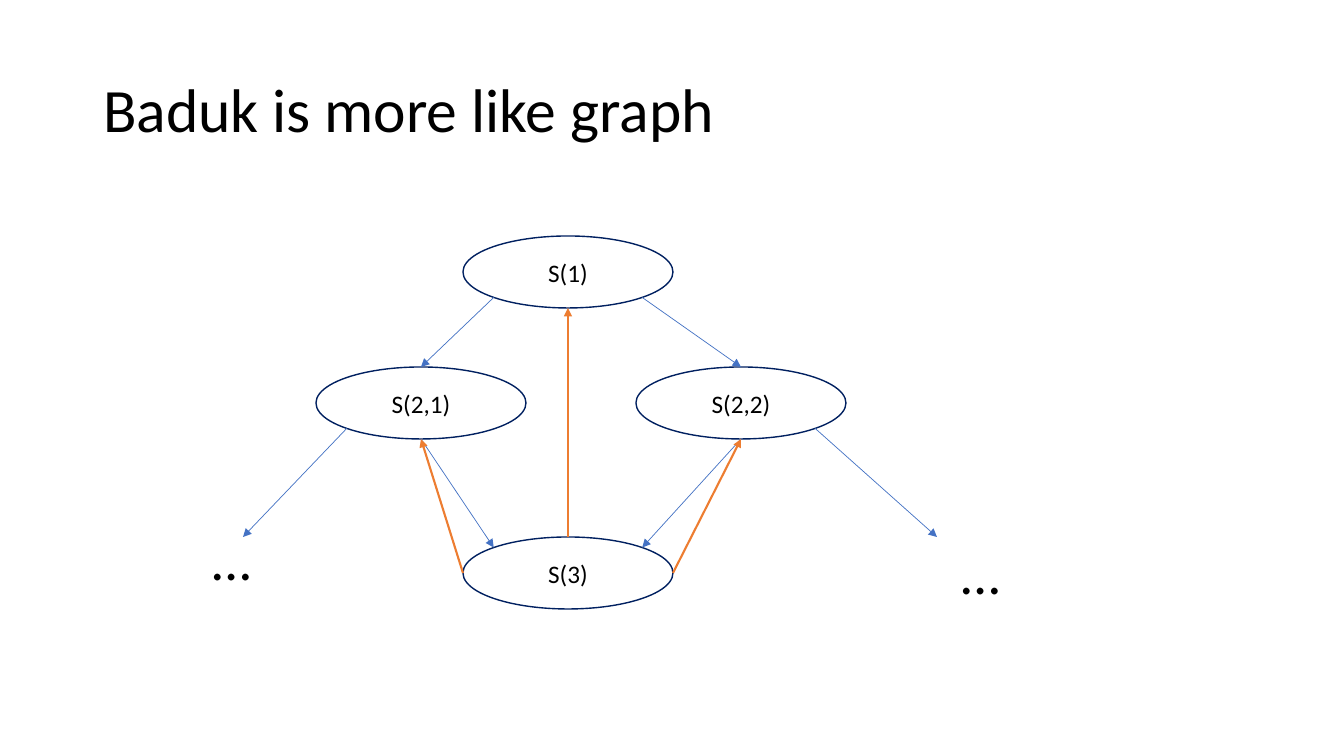
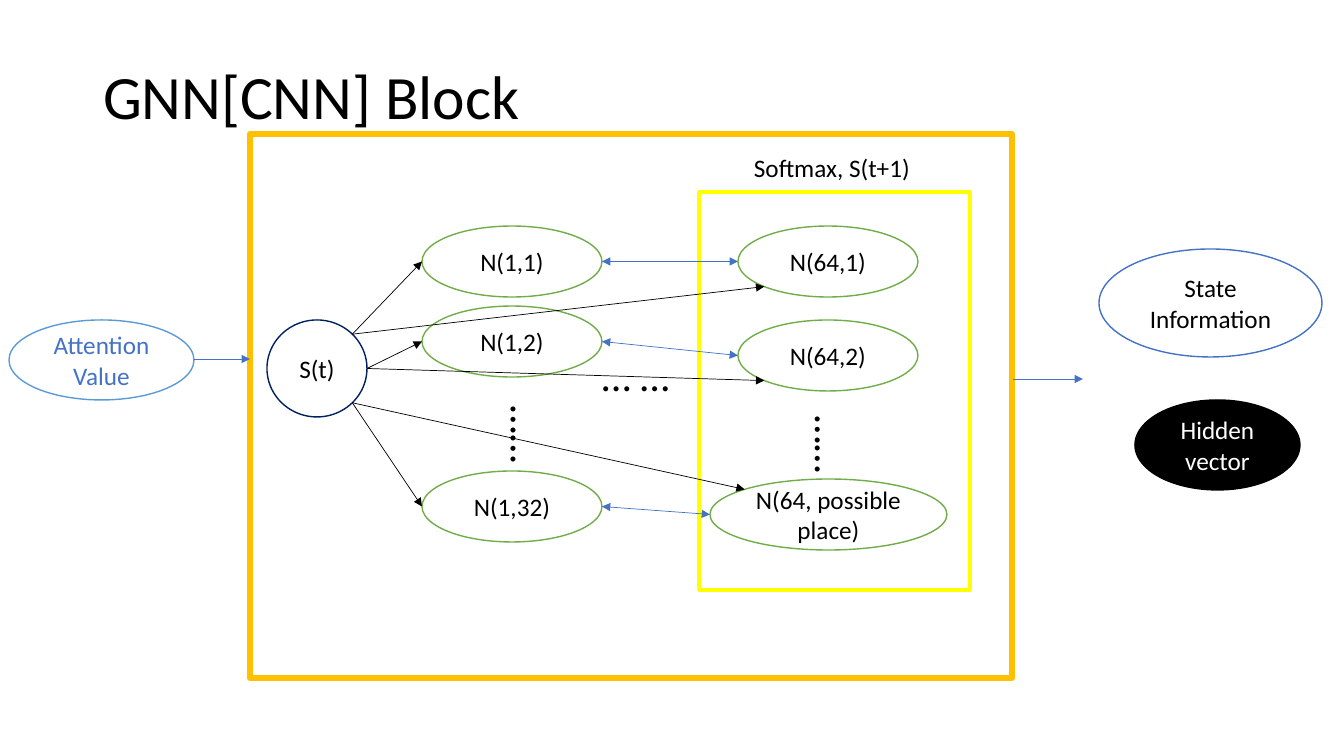
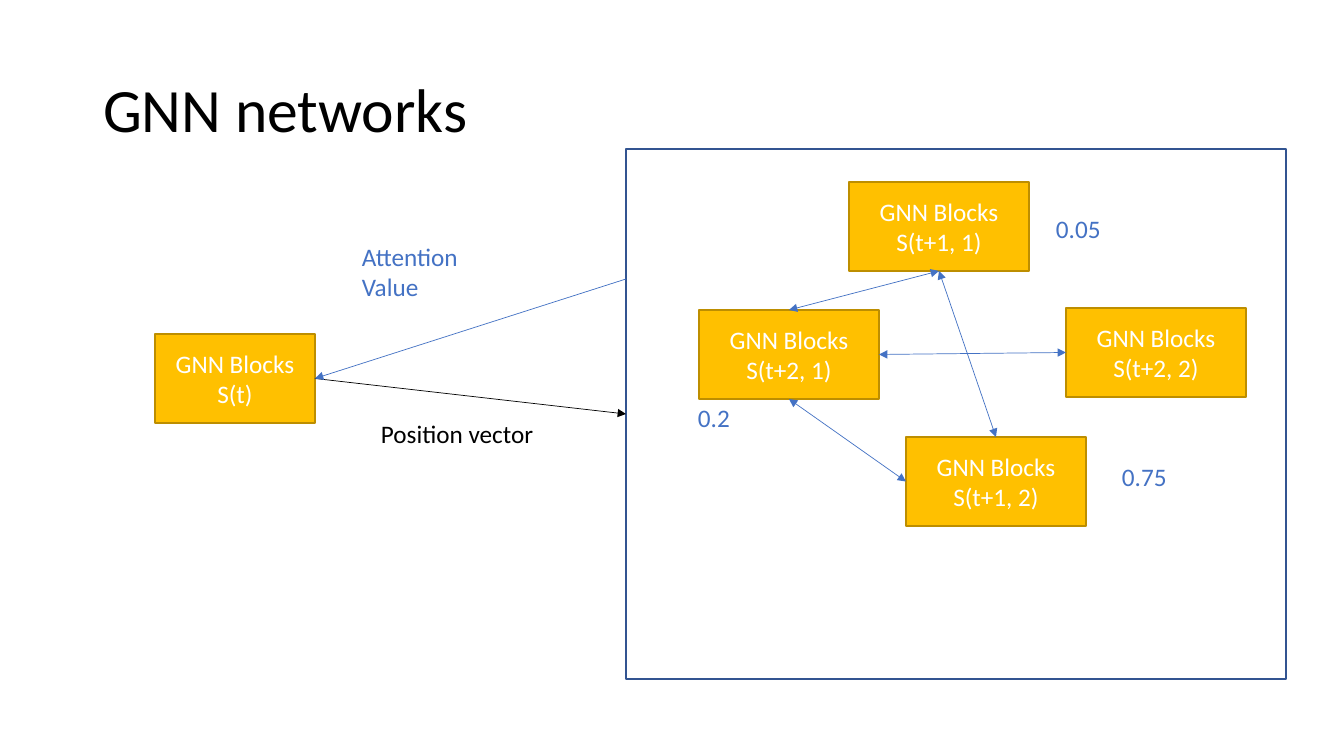
from dataclasses import dataclass
from math import sqrt
from typing import NamedTuple, Optional

from lxml.etree import SubElement
from pptx import Presentation
from pptx.dml.color import RGBColor
from pptx.enum.shapes import MSO_CONNECTOR, MSO_SHAPE
from pptx.enum.text import MSO_ANCHOR, MSO_AUTO_SIZE, PP_ALIGN
from pptx.oxml.ns import qn
from pptx.util import Emu, Pt

# Shared style: one pixel is 1/100.8 inch
EMU_PER_PIXEL = 914400 / 100.8
FONT = "Calibri"
BLACK, WHITE = "000000", "FFFFFF"
NAVY, BLUE, LIGHT_BLUE, DARK_BLUE = "002060", "4472C4", "5B9BD5", "325491"
GREEN, ORANGE, YELLOW = "70AD47", "ED7D31", "FFFF00"
GOLD, DARK_GOLD = "FFC000", "BD8E00"
DIAGONAL = 1 / sqrt(2)


class Point(NamedTuple):
    x: float
    y: float


@dataclass(frozen=True)
class Node:
    text: str
    left: int
    top: int
    width: int
    height: int
    line: str
    fill: Optional[str] = None
    color: str = BLACK
    weight: float = 1
    preset: MSO_SHAPE = MSO_SHAPE.OVAL

    def at(self, across: float, down: float) -> Point:
        """Point at an offset from the centre, in half widths and half heights."""
        return Point(self.left + self.width * (1 + across) / 2,
                     self.top + self.height * (1 + down) / 2)

    @property
    def north(self) -> Point:
        return self.at(0, -1)

    @property
    def south(self) -> Point:
        return self.at(0, 1)

    @property
    def west(self) -> Point:
        return self.at(-1, 0)

    @property
    def east(self) -> Point:
        return self.at(1, 0)

    @property
    def northwest(self) -> Point:
        return self.at(-DIAGONAL, -DIAGONAL)

    @property
    def northeast(self) -> Point:
        return self.at(DIAGONAL, -DIAGONAL)

    @property
    def southwest(self) -> Point:
        return self.at(-DIAGONAL, DIAGONAL)

    @property
    def southeast(self) -> Point:
        return self.at(DIAGONAL, DIAGONAL)


@dataclass(frozen=True)
class Arrow:
    start: Point
    end: Point
    color: str = BLUE
    weight: float = 0.5
    both_ends: bool = False


@dataclass(frozen=True)
class Label:
    text: str
    left: int
    top: int
    width: int
    height: int
    size: int = 18
    color: str = BLACK
    level: int = 0
    vertical: bool = False


def px(pixels: float) -> Emu:
    return Emu(round(pixels * EMU_PER_PIXEL))


def rgb(color: str) -> RGBColor:
    return RGBColor.from_string(color)


def write(frame, text: str, *, size: int = 18, color: str = BLACK,
          align=PP_ALIGN.LEFT, anchor=MSO_ANCHOR.TOP, level: int = 0,
          spacing: Optional[float] = None) -> None:
    frame.word_wrap = True
    frame.auto_size = MSO_AUTO_SIZE.NONE
    frame.vertical_anchor = anchor
    para = frame.paragraphs[0]
    para.alignment, para.level, para.line_spacing = align, level, spacing
    span = para.add_run()
    span.text = text
    span.font.name, span.font.size = FONT, Pt(size)
    span.font.color.rgb = rgb(color)


def add_page(deck, title: str, top: int = 40):
    page = deck.slides.add_slide(deck.slide_layouts[5])
    box = page.shapes.title
    box.left, box.top, box.width, box.height = px(93), px(top), px(1159), px(146)
    write(box.text_frame, title, size=44, anchor=MSO_ANCHOR.MIDDLE, spacing=0.9)
    return page


def draw_node(page, node: Node) -> None:
    shape = page.shapes.add_shape(node.preset, px(node.left), px(node.top),
                                  px(node.width), px(node.height))
    shape.shadow.inherit = False
    if node.fill:
        shape.fill.solid()
        shape.fill.fore_color.rgb = rgb(node.fill)
    else:
        shape.fill.background()
    shape.line.color.rgb = rgb(node.line)
    shape.line.width = Pt(node.weight)
    if node.text:
        write(shape.text_frame, node.text, color=node.color,
              align=PP_ALIGN.CENTER, anchor=MSO_ANCHOR.MIDDLE)


def draw_arrow(page, arrow: Arrow) -> None:
    connector = page.shapes.add_connector(
        MSO_CONNECTOR.STRAIGHT, *(px(value) for value in arrow.start + arrow.end))
    connector.line.color.rgb = rgb(arrow.color)
    connector.line.width = Pt(arrow.weight)
    properties = connector.element.spPr
    outline = properties.find(qn("a:ln"))
    for tag in ("a:headEnd", "a:tailEnd") if arrow.both_ends else ("a:tailEnd",):
        SubElement(outline, qn(tag), type="triangle")
    SubElement(properties, qn("a:effectLst"))


def draw_label(page, label: Label) -> None:
    box = page.shapes.add_textbox(px(label.left), px(label.top),
                                  px(label.width), px(label.height))
    write(box.text_frame, label.text, size=label.size, color=label.color,
          level=label.level)
    if label.vertical:
        box.element.txBody.find(qn("a:bodyPr")).set("vert", "eaVert")


def draw(page, nodes: list[Node], arrows: list[Arrow], labels: list[Label]) -> None:
    for node in nodes:
        draw_node(page, node)
    for arrow in arrows:
        draw_arrow(page, arrow)
    for label in labels:
        draw_label(page, label)


def state(text: str, left: int, top: int, width: int = 210, height: int = 72) -> Node:
    return Node(text, left, top, width, height, NAVY)


def neighbor(text: str, left: int, top: int, width: int = 180) -> Node:
    return Node(text, left, top, width, 71, GREEN, WHITE)


def block(name: str, left: int, top: int, width: int = 180) -> Node:
    return Node(f"GNN Blocks {name}", left, top, width, 89, DARK_GOLD, GOLD, WHITE,
                preset=MSO_SHAPE.RECTANGLE)


def border(left: int, top: int, width: int, height: int, line: str,
           weight: float) -> Node:
    return Node("", left, top, width, height, line, weight=weight,
                preset=MSO_SHAPE.RECTANGLE)


def build_graph(deck) -> None:
    page = add_page(deck, "Baduk is more like graph")
    root, merged = state("S(1)", 463, 236), state("S(3)", 463, 537)
    left, right = state("S(2,1)", 316, 367), state("S(2,2)", 636, 367)
    forward = [
        (root.southwest, left.north), (root.southeast, right.north),
        (left.south, merged.northwest), (right.south, merged.northeast),
        (left.southwest, Point(243, 537)), (right.southeast, Point(937, 537)),
    ]
    backward = [(merged.west, left.south), (merged.north, root.south),
                (merged.east, right.south)]
    draw(page, [root, left, right, merged],
         [Arrow(*ends) for ends in forward]
         + [Arrow(*ends, ORANGE, 1.5) for ends in backward],
         [Label("…", x, y, 271, 78, size=40, level=2)
          for x, y in ((102, 520), (851, 534))])


def build_block(deck) -> None:
    page = add_page(deck, "GNN[CNN] Block", top=27)
    current = state("S(t)", 267, 320, 100, 97)
    first = [neighbor("N(1,1)", 422, 226), neighbor("N(1,2)", 422, 306),
             neighbor("N(1,32)", 422, 471)]
    last = [neighbor("N(64,1)", 738, 226), neighbor("N(64,2)", 738, 320),
            neighbor("N(64, possible place)", 710, 479, 237)]
    attention = Node("Attention Value", 9, 320, 185, 80, LIGHT_BLUE, WHITE, BLUE)
    information = Node("State Information", 1099, 249, 223, 108, BLUE, WHITE)
    hidden = Node("Hidden vector", 1135, 400, 165, 90, BLACK, BLACK, WHITE)
    softmax = border(699, 192, 271, 398, YELLOW, 2.25)
    outer = border(250, 134, 762, 544, GOLD, 4.5)

    # Each exit of the current state feeds one node of either layer
    exits = [current.northeast, current.east, current.southeast]
    entries = [last[0].southwest, last[1].southwest, last[2].northwest]
    arrows = [Arrow(Point(194, 359), Point(250, 359)),
              Arrow(Point(1013, 379), Point(1083, 379))]
    for exit_point, near, far, entry in zip(exits, first, last, entries):
        arrows += [Arrow(near.east, far.west, both_ends=True),
                   Arrow(exit_point, near.west, BLACK),
                   Arrow(exit_point, entry, BLACK)]
    draw(page,
         [current, *first, *last, attention, information, hidden, softmax, outer],
         arrows,
         [Label("Softmax, S(t+1)", 744, 147, 186, 40),
          Label("… …", 592, 345, 140, 61, size=30),
          Label("……", 486, 396, 72, 117, size=30, vertical=True),
          Label("……", 790, 406, 72, 117, size=30, vertical=True)])


def build_network(deck) -> None:
    page = add_page(deck, "GNN networks")
    current = block("S(t)", 155, 334, 160)
    top, bottom = block("S(t+1, 1)", 849, 182), block("S(t+1, 2)", 906, 437)
    left, right = block("S(t+2, 1)", 699, 310), block("S(t+2, 2)", 1066, 308)
    network = border(626, 149, 660, 530, DARK_BLUE, 1)
    mutual = [(left.north, top.south), (left.south, bottom.west),
              (bottom.north, top.south), (right.west, left.east)]
    draw(page, [current, top, left, bottom, right, network],
         [Arrow(*ends, both_ends=True) for ends in mutual]
         + [Arrow(current.east, Point(626, 414), BLACK),
            Arrow(Point(626, 279), current.east)],
         [Label("Position vector", 371, 413, 184, 40),
          Label("Attention Value", 352, 236, 147, 72, color=BLUE),
          Label("0.05", 1046, 208, 147, 72, color=BLUE),
          Label("0.2", 688, 397, 147, 40, color=BLUE),
          Label("0.75", 1112, 456, 147, 40, color=BLUE)])


def main() -> None:
    deck = Presentation()
    deck.slide_width, deck.slide_height = px(1344), px(756)
    for build in (build_graph, build_block, build_network):
        build(deck)
    deck.save("out.pptx")


main()
